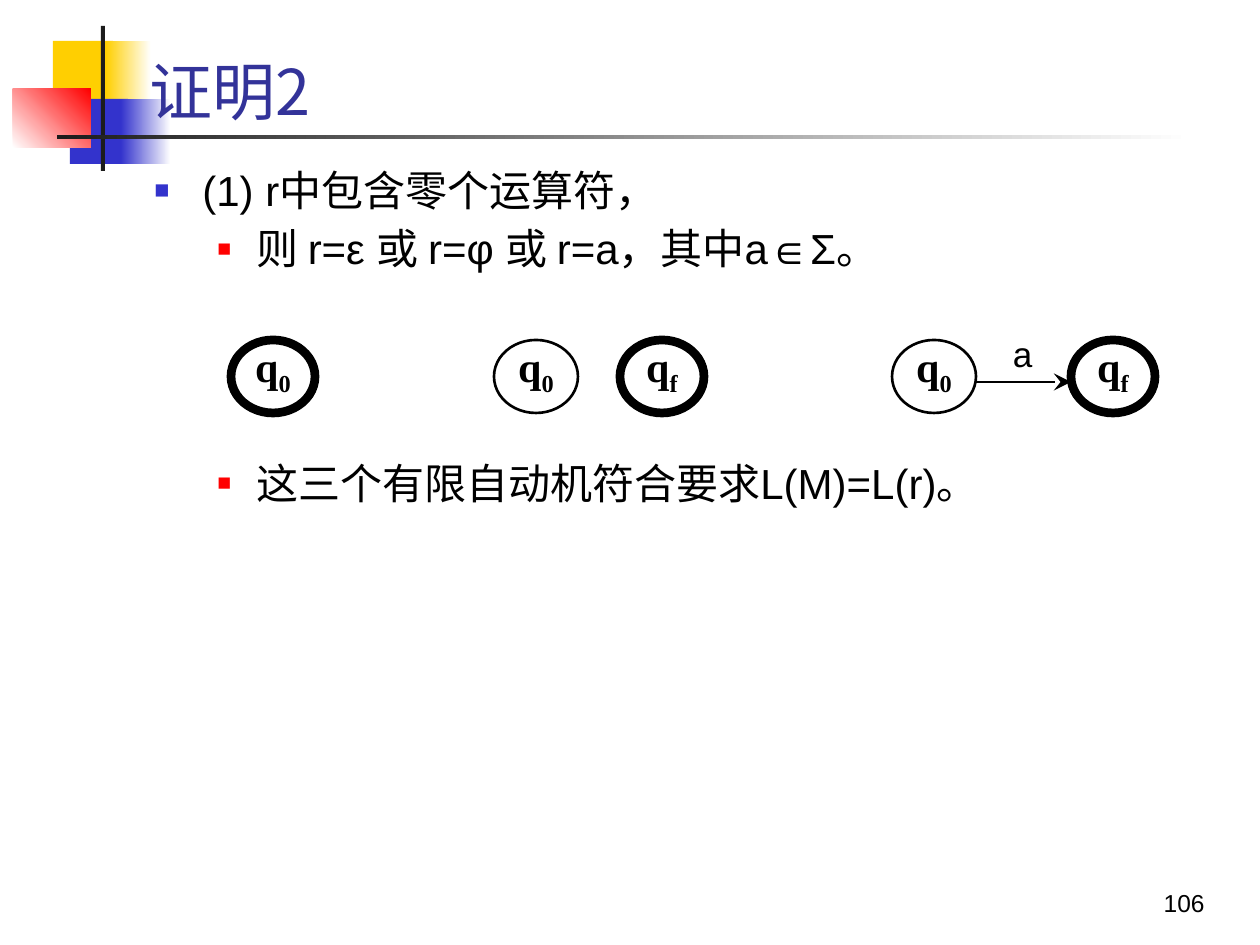
import pptx
import pptx.util
import pptx.dml.color
import pptx.enum.shapes
import pptx.enum.text
from lxml import etree
from pptx.oxml.ns import qn

RGB = pptx.dml.color.RGBColor
BLACK = RGB(0x00, 0x00, 0x00)
WHITE = RGB(0xFF, 0xFF, 0xFF)
YELLOW = RGB(0xFF, 0xCF, 0x01)
BLUE = RGB(0x33, 0x33, 0xCC)
RED = RGB(0xFF, 0x00, 0x00)
DARK = RGB(0x1C, 0x1C, 0x1C)
TITLE_BLUE = RGB(0x33, 0x33, 0x99)

PX = 914400 / 126
SHAPE = pptx.enum.shapes.MSO_SHAPE
ANCHOR = pptx.enum.text.MSO_ANCHOR
ALIGN = pptx.enum.text.PP_ALIGN
Pt = pptx.util.Pt


def emu(*lengths):
    return [round(length * PX) for length in lengths]


def add_label(box, text, size, font, color, anchor, align, wrap=True):
    label = slide.shapes.add_textbox(*emu(*box))
    label.text_frame.word_wrap = wrap
    label.text_frame.vertical_anchor = anchor
    paragraph = label.text_frame.paragraphs[0]
    paragraph.text = text
    paragraph.alignment = align
    paragraph.font.size = Pt(size)
    paragraph.font.name = font
    paragraph.font.color.rgb = color


deck = pptx.Presentation()
deck.slide_width, deck.slide_height = emu(1260, 945)
slide = deck.slides.add_slide(deck.slide_layouts[6])

# Corner ornament and rules: box, start colour, end colour, angle
ornament = [
    ((53, 41, 60, 65), YELLOW, None, 0),
    ((106, 41, 45, 65), YELLOW, WHITE, 0),
    ((70, 99, 58, 65), BLUE, None, 0),
    ((121, 99, 50, 65), BLUE, WHITE, 0),
    ((13, 89, 78, 59), WHITE, RED, 45),
    ((101, 26, 4, 145), DARK, None, 0),
    ((57, 135, 1134, 4), DARK, WHITE, 0),
]
for box, start, end, angle in ornament:
    block = slide.shapes.add_shape(SHAPE.RECTANGLE, *emu(*box))
    block.shadow.inherit = False
    block.line.fill.background()
    if end is None:
        block.fill.solid()
        block.fill.fore_color.rgb = start
    else:
        block.fill.gradient()
        block.fill.gradient_angle = angle
        for stop, color in zip(block.fill.gradient_stops, (start, end)):
            stop.color.rgb = color

# Proof steps: text, left margin, hanging indent, space before, bullet colour and size
steps = [
    ("(1) r中包含零个运算符，", 48, 48, 0, BLUE, 60),
    ("则 r=ε 或 r=φ 或 r=a，其中a∈Σ。", 102, 39, 4.8, RED, 55),
    ("这三个有限自动机符合要求L(M)=L(r)。", 102, 39, 105, RED, 55),
]
proof = slide.shapes.add_textbox(*emu(142, 158, 1071, 692)).text_frame
proof.word_wrap = True
for index, (text, margin, hang, before, color, percent) in enumerate(steps):
    step = proof.add_paragraph() if index else proof.paragraphs[0]
    step.text = text
    step.space_before = Pt(before)
    properties = step._p.get_or_add_pPr()
    left, hanging = emu(margin, hang)
    properties.set("marL", str(left))
    properties.set("indent", str(-hanging))
    bullet_color = etree.SubElement(properties, qn("a:buClr"))
    etree.SubElement(bullet_color, qn("a:srgbClr"), val=str(color))
    etree.SubElement(properties, qn("a:buSzPct"), val=str(percent * 1000))
    etree.SubElement(properties, qn("a:buFont"), typeface="Arial")
    etree.SubElement(properties, qn("a:buChar"), char="■")
    step.font.size = Pt(24)
    step.font.name = "Arial"
    step.font.color.rgb = BLACK

# Title, page number and transition label
add_label((137, 28, 1074, 106), "证明2", 36, "Noto Sans CJK SC", TITLE_BLUE,
          ANCHOR.BOTTOM, ALIGN.LEFT)
add_label((955, 861, 262, 63), "106", 14, "Arial", BLACK, ANCHOR.BOTTOM, ALIGN.RIGHT)
add_label((974, 335, 97, 38), "a", 20, "Arial", BLACK, ANCHOR.MIDDLE, ALIGN.CENTER, False)

# States of the three automata: left, subscript, accepting (thick outline)
states = [
    (231, "0", True),
    (494, "0", False),
    (620, "f", True),
    (892, "0", False),
    (1071, "f", True),
]
for left, subscript, accepting in states:
    state = slide.shapes.add_shape(SHAPE.OVAL, *emu(left, 340, 84, 73))
    state.shadow.inherit = False
    state.fill.background()
    state.line.color.rgb = BLACK
    state.line.width = Pt(5 if accepting else 1.5)
    frame = state.text_frame
    frame.word_wrap = False
    frame.vertical_anchor = ANCHOR.MIDDLE
    frame.margin_top, frame.margin_bottom = emu(0, 15)
    name = frame.paragraphs[0]
    name.alignment = ALIGN.CENTER
    name.font.size = Pt(24)
    name.font.name = "Times New Roman"
    name.font.bold = True
    name.font.color.rgb = BLACK
    name.add_run().text = "q"
    lowered = name.add_run()
    lowered.text = subscript
    lowered._r.get_or_add_rPr().set("baseline", "-25000")

# Transition arrow
transition = slide.shapes.add_connector(
    pptx.enum.shapes.MSO_CONNECTOR.STRAIGHT, *emu(976, 382, 1071, 382))
transition.line.color.rgb = BLACK
transition.line.width = Pt(1.5)
etree.SubElement(transition.line._get_or_add_ln(), qn("a:tailEnd"), type="stealth",
                 w="lg", len="lg")
etree.SubElement(transition._element.spPr, qn("a:effectLst"))

deck.save("out.pptx")
